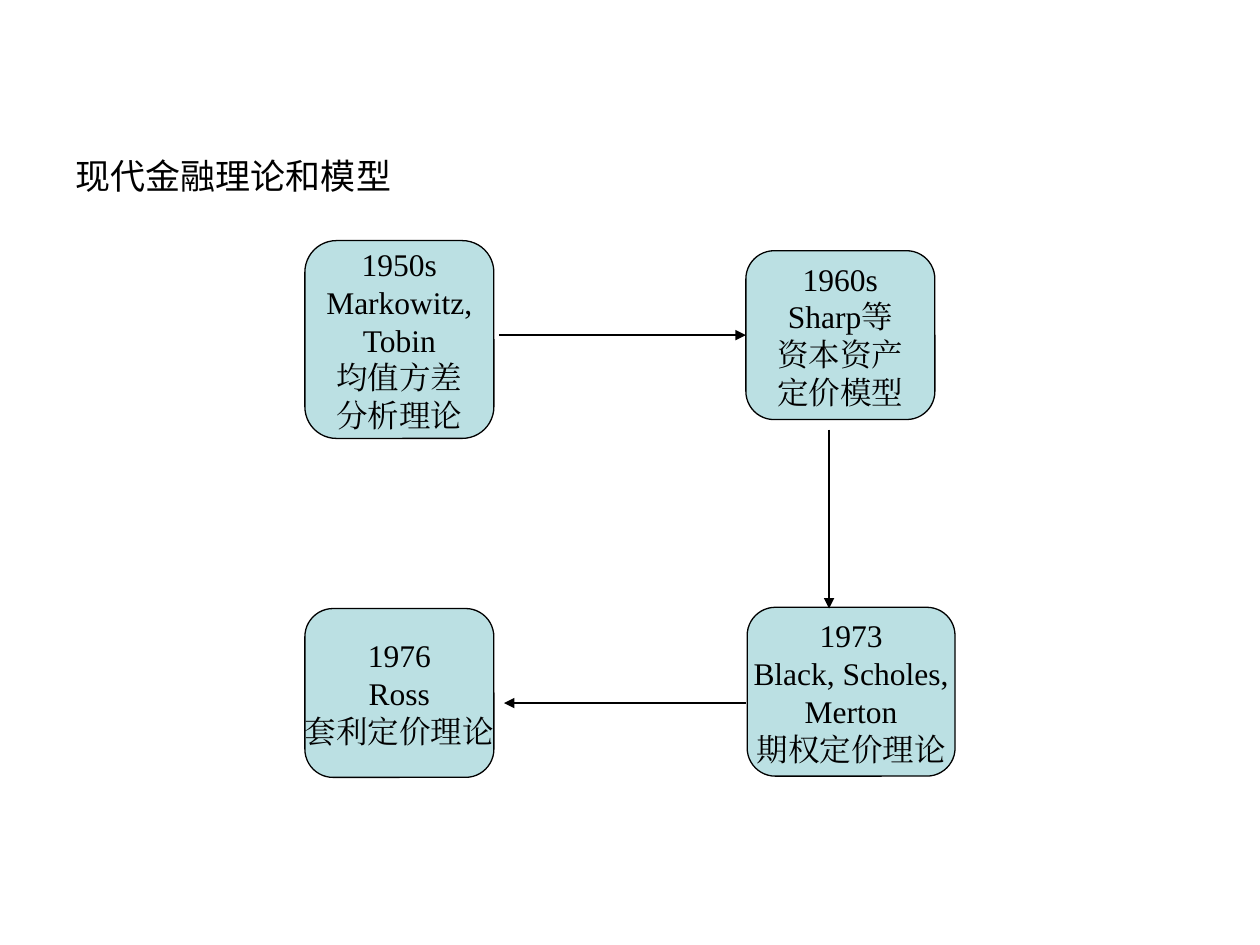
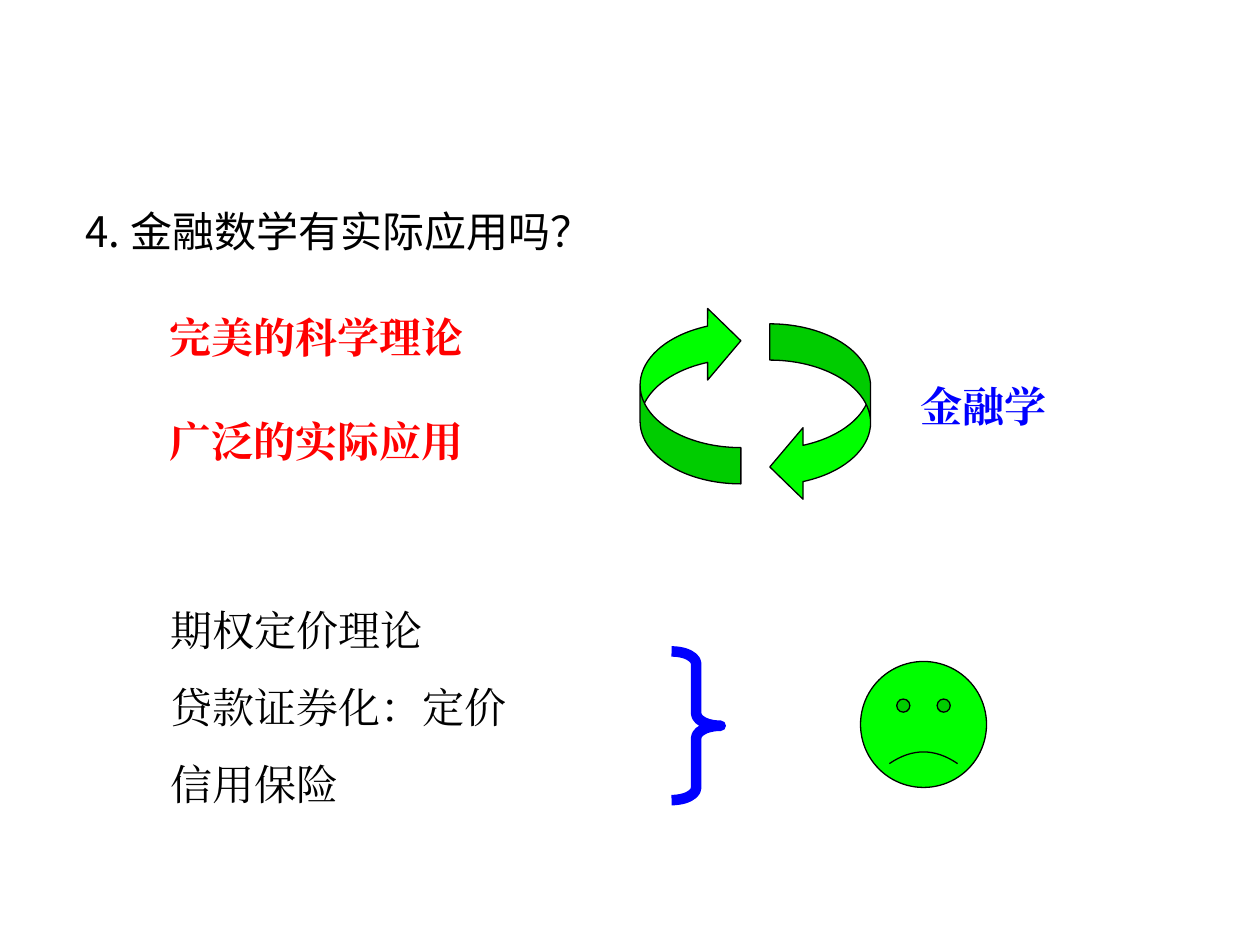
from lxml.etree import SubElement
from pptx import Presentation
from pptx.dml.color import RGBColor
from pptx.enum.shapes import MSO_CONNECTOR, MSO_SHAPE
from pptx.enum.text import MSO_ANCHOR, MSO_AUTO_SIZE, PP_ALIGN
from pptx.oxml.ns import qn
from pptx.util import Inches, Pt

BLACK, RED, BLUE = "000000", "FF0000", "0000FF"
PALE_TEAL, GREEN = "BBE0E3", "00FF00"
SERIF, SANS = "Times New Roman", "Arial"
TITLE_CJK, HEADING_CJK = "Noto Sans CJK JP", "Noto Sans CJK SC"

THEORY_TITLE = "现代金融理论和模型"
# Lines of text, then left, top, width, height
THEORIES = {
    "mean_variance": (["1950s", "Markowitz,", "Tobin", "均值方差", "分析理论"],
                      (2.42, 1.91, 1.5, 1.57)),
    "capital_asset": (["1960s", "Sharp等", "资本资产", "定价模型"],
                      (5.92, 1.99, 1.5, 1.34)),
    "option": (["1973", "Black, Scholes,", "Merton", "期权定价理论"],
               (5.93, 4.82, 1.65, 1.34)),
    "arbitrage": (["1976", "Ross", "套利定价理论"],
                  (2.42, 4.83, 1.5, 1.34)),
}
# Start, end, and the theory box whose left side the arrow joins
ARROWS = [
    ((3.96, 2.66), (5.92, 2.66), "capital_asset"),
    ((6.58, 3.41), (6.58, 4.83), None),
    ((5.92, 5.58), (4, 5.58), None),
]

QUESTION = "4. 金融数学有实际应用吗？"
APPLICATIONS = ["期权定价理论", "贷款证券化：定价", "信用保险"]
LABELS = [
    ("完美的科学理论", RED, (1.25, 2.42, 3.39, 0.5)),
    ("广泛的实际应用", RED, (1.25, 3.25, 3.39, 0.5)),
    ("金融学", BLUE, (7.21, 2.97, 2.05, 0.5)),
]
# Left, top, width, height, then rotation
CYCLE_ARROWS = [((6.11, 2.57, 0.8, 1.42), 0), ((5.08, 2.42, 0.8, 1.42), 180)]


def color(hex_string):
    return RGBColor.from_string(hex_string)


def place(shape, box):
    shape.left, shape.top, shape.width, shape.height = map(Inches, box)


def write(shape, lines, size=24, font=SERIF, hue=BLACK, bold=False,
          align=PP_ALIGN.LEFT, anchor=MSO_ANCHOR.TOP, before=0, wrap=True):
    """Fill a shape with one unbulleted paragraph per line."""
    frame = shape.text_frame
    frame.text = "\n".join(lines)
    frame.auto_size = MSO_AUTO_SIZE.NONE
    frame.word_wrap = wrap
    frame.vertical_anchor = anchor
    for paragraph in frame.paragraphs:
        paragraph.alignment = align
        paragraph.space_before = Pt(before)
        properties = paragraph._p.get_or_add_pPr()
        properties.set("marL", "0")
        properties.set("indent", "0")
        SubElement(properties, qn("a:buNone"))
        for run in paragraph.runs:
            run.font.size = Pt(size)
            run.font.name = font
            run.font.bold = bold
            run.font.color.rgb = color(hue)
            SubElement(run._r.get_or_add_rPr(), qn("a:ea"), typeface=font)


def add_preset(slide, kind, box, fill=None, line=BLACK, weight=0.75, adjustments=()):
    shape = slide.shapes.add_shape(kind, *map(Inches, box))
    shape.shadow.inherit = False
    if fill:
        shape.fill.solid()
        shape.fill.fore_color.rgb = color(fill)
    else:
        shape.fill.background()
    shape.line.color.rgb = color(line)
    shape.line.width = Pt(weight)
    for index, value in enumerate(adjustments):
        shape.adjustments[index] = value
    return shape


def add_arrow(slide, start, end, target=None):
    connector = slide.shapes.add_connector(
        MSO_CONNECTOR.STRAIGHT, *map(Inches, start + end))
    if target is not None:
        connector.end_connect(target, 1)
    connector.line.color.rgb = color(BLACK)
    connector.line.width = Pt(0.75)
    SubElement(connector.line._get_or_add_ln(), qn("a:tailEnd"), type="triangle")
    SubElement(connector._element.spPr, qn("a:effectLst"))


def build_theory_slide(presentation):
    slide = presentation.slides.add_slide(presentation.slide_layouts[5])
    title = slide.shapes.title
    place(title, (0.5, 0.58, 9, 1.25))
    write(title, [THEORY_TITLE], size=20, font=TITLE_CJK, anchor=MSO_ANCHOR.MIDDLE)
    title.text_frame.margin_top = Inches(0.43)

    boxes = {}
    for name, (lines, box) in THEORIES.items():
        boxes[name] = add_preset(slide, MSO_SHAPE.ROUNDED_RECTANGLE, box,
                                 fill=PALE_TEAL, adjustments=[0.167])
        write(boxes[name], lines, size=18, align=PP_ALIGN.CENTER,
              anchor=MSO_ANCHOR.MIDDLE, wrap=False)
    for start, end, target in ARROWS:
        add_arrow(slide, start, end, boxes.get(target))


def build_application_slide(presentation):
    slide = presentation.slides.add_slide(presentation.slide_layouts[1])
    title, body = slide.placeholders
    place(title, (0.58, 1.58, 8.66, 0.5))
    write(title, [QUESTION], font=HEADING_CJK)
    place(body, (1.25, 4.75, 3.94, 1.72))
    write(body, APPLICATIONS, before=15)

    for text, hue, box in LABELS:
        label = slide.shapes.add_textbox(*map(Inches, box))
        write(label, [text], hue=hue, bold=True)
    for box, rotation in CYCLE_ARROWS:
        arrow = add_preset(slide, MSO_SHAPE.CURVED_LEFT_ARROW, box, fill=GREEN,
                           adjustments=[0.36, 0.71, 0.33])
        arrow.rotation = rotation
    add_preset(slide, MSO_SHAPE.RIGHT_BRACE, (5.33, 5.17, 0.39, 1.18),
               line=BLUE, weight=6, adjustments=[0.25, 0.5])
    add_preset(slide, MSO_SHAPE.SMILEY_FACE, (6.83, 5.25, 1, 1),
               fill=GREEN, adjustments=[-0.047])


def main():
    presentation = Presentation()
    presentation.slide_width, presentation.slide_height = Inches(10), Inches(7.5)
    build_theory_slide(presentation)
    build_application_slide(presentation)
    presentation.save("out.pptx")


if __name__ == "__main__":
    main()
